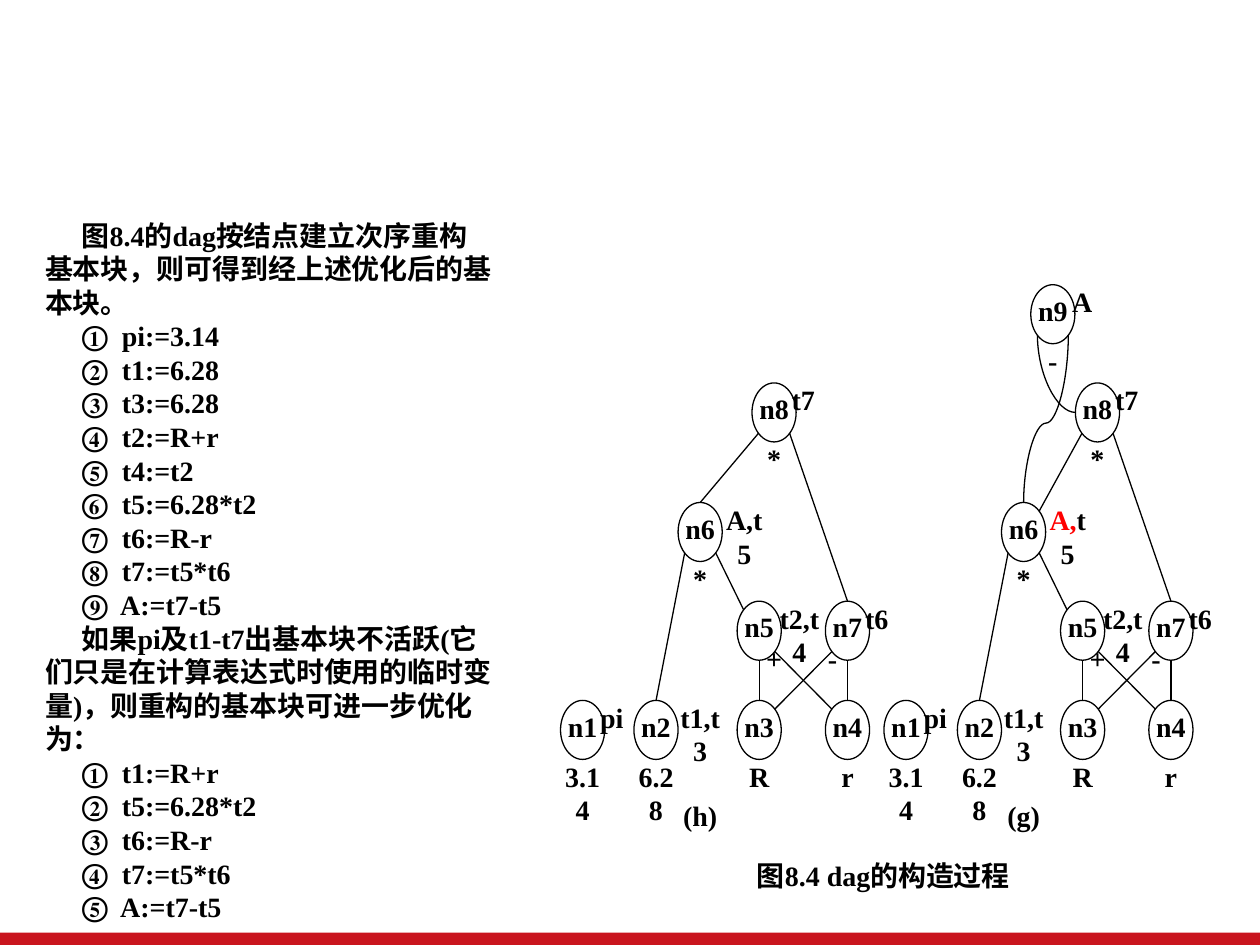
"""Build the slide on rebuilding a basic block from its dag."""
from lxml.etree import SubElement
from pptx import Presentation
from pptx.dml.color import RGBColor
from pptx.enum.shapes import MSO_CONNECTOR as Link, MSO_SHAPE as Shape
from pptx.enum.text import MSO_ANCHOR as Anchor, MSO_AUTO_SIZE as AutoSize, PP_ALIGN as Align
from pptx.oxml.ns import qn
from pptx.util import Cm, Pt

BLACK = RGBColor(0x00, 0x00, 0x00)
WHITE = RGBColor(0xFF, 0xFF, 0xFF)
RED = RGBColor(0xFF, 0x00, 0x00)
BAR_RED = RGBColor(0xC9, 0x15, 0x1E)
FONT, SIZE = "Times New Roman", Pt(16)

EXPLANATION = [
    "图8.4的dag按结点建立次序重构基本块，则可得到经上述优化后的基本块。",
    "①  pi:=3.14",
    "②  t1:=6.28",
    "③  t3:=6.28",
    "④  t2:=R+r",
    "⑤  t4:=t2",
    "⑥  t5:=6.28*t2",
    "⑦  t6:=R-r",
    "⑧  t7:=t5*t6",
    "⑨  A:=t7-t5",
    "如果pi及t1-t7出基本块不活跃(它们只是在计算表达式时使用的临时变量)，则重构的基本块可进一步优化为：",
    "①  t1:=R+r",
    "②  t5:=6.28*t2",
    "③  t6:=R-r",
    "④  t7:=t5*t6",
    "⑤  A:=t7-t5",
]
CAPTION = "图8.4 dag的构造过程"

NODE_W, NODE_H, LABEL_H = 0.89, 1.19, 0.8
NODES = {
    "n1": (11.3, 14.12), "n2": (12.78, 14.12), "n3": (14.86, 14.12), "n4": (16.64, 14.12),
    "n5": (14.86, 12.12), "n6": (13.67, 10.13), "n7": (16.64, 12.12), "n8": (15.16, 7.72),
}
TOP_NODE = {"n9": (14.26, 5.74)}
LABELS = [
    ("n1", "pi", 0.59, 0), ("n2", "t1,t3", 0.89, 0), ("n5", "t2,t4", 0.81, 0),
    ("n6", "A,t5", 0.89, 0), ("n7", "t6", 0.59, 0), ("n8", "t7", 0.59, 0),
    ("n1", "3.14", 0, NODE_H), ("n2", "6.28", 0, NODE_H), ("n3", "R", 0, NODE_H),
    ("n4", "r", 0, NODE_H), ("n6", "*", 0, NODE_H), ("n8", "*", 0, NODE_H),
    ("n5", "+", 0.3, 0.81), ("n7", "-", -0.3, 0.81),
]
TOP_LABELS = [("n9", "A", 0.59, 0), ("n9", "-", 0, NODE_H)]
EDGES = [
    ("n5", "bottom", "n3", "top"), ("n5", "lower right", "n4", "upper left"),
    ("n6", "lower left", "n2", "top"), ("n6", "lower right", "n5", "upper left"),
    ("n7", "lower left", "n3", "upper right"), ("n7", "bottom", "n4", "top"),
    ("n8", "lower right", "n7", "top"),
]
SITES = {
    "top": (0.5, 0), "bottom": (0.5, 1), "left": (0, 0.5),
    "upper left": (0.15, 0.15), "upper right": (0.85, 0.15),
    "lower left": (0.15, 0.85), "lower right": (0.85, 0.85),
}
GRAPHS = [
    dict(name="(h)", shift=0, nodes=NODES, labels=LABELS, n6_site="top", live=BLACK),
    dict(name="(g)", shift=6.52, nodes={**NODES, **TOP_NODE}, labels=LABELS + TOP_LABELS,
         n6_site="upper right", live=RED),
]

presentation = Presentation()
presentation.slide_width, presentation.slide_height = Cm(25.4), Cm(19.05)
slide = presentation.slides.add_slide(presentation.slide_layouts[6])


def style_run(run, color=BLACK):
    run.font.name, run.font.size, run.font.bold = FONT, SIZE, True
    run.font.color.rgb = color


def write(shape, parts):
    frame = shape.text_frame
    frame.word_wrap, frame.vertical_anchor = True, Anchor.TOP
    frame.margin_left = frame.margin_right = frame.margin_top = frame.margin_bottom = 0
    paragraph = frame.paragraphs[0]
    paragraph.alignment = Align.CENTER
    for text, color in parts:
        run = paragraph.add_run()
        run.text = text
        style_run(run, color)


def add_label(parts, left, top, width=NODE_W):
    write(slide.shapes.add_textbox(Cm(left), Cm(top), Cm(width), Cm(LABEL_H)), parts)


def add_filled(kind, left, top, width, height, fill):
    shape = slide.shapes.add_shape(kind, Cm(left), Cm(top), Cm(width), Cm(height))
    shape.shadow.inherit = False
    shape.fill.solid()
    shape.fill.fore_color.rgb = fill
    return shape


def add_link(start, end, kind=Link.STRAIGHT):
    link = slide.shapes.add_connector(kind, *(Cm(value) for value in (*start, *end)))
    link.line.color.rgb, link.line.width = BLACK, Pt(0.75)
    SubElement(link._element.spPr, qn("a:effectLst"))
    return link


def add_side_curve(start, end):
    link = add_link(start, end, Link.CURVE)
    link._element.spPr.find(qn("a:prstGeom")).set("prst", "curvedConnector2")


def add_falling_curve(start, end, bend):
    middle_x, middle_y = (start[0] + end[0]) / 2, (start[1] + end[1]) / 2
    half_w, half_h = (end[1] - start[1]) / 2, (start[0] - end[0]) / 2
    link = add_link((middle_x - half_w, middle_y - half_h),
                    (middle_x + half_w, middle_y + half_h), Link.CURVE)
    properties = link._element.spPr
    properties.find(qn("a:xfrm")).set("rot", str(90 * 60000))
    adjustments = properties.find(qn("a:prstGeom")).find(qn("a:avLst"))
    SubElement(adjustments, qn("a:gd"), name="adj1", fmla=f"val {bend}")


def draw_graph(name, shift, nodes, labels, n6_site, live):
    def site(node, place):
        (left, top), (across, down) = nodes[node], SITES[place]
        return left + shift + across * NODE_W, top + down * NODE_H

    for node, (left, top) in nodes.items():
        ellipse = add_filled(Shape.OVAL, left + shift, top, NODE_W, NODE_H, WHITE)
        ellipse.line.color.rgb, ellipse.line.width = BLACK, Pt(0.75)
        write(ellipse, [(node, BLACK)])
    for parent, begin, child, finish in EDGES + [("n8", "lower left", "n6", n6_site)]:
        add_link(site(parent, begin), site(child, finish))
    if "n9" in nodes:
        add_side_curve(site("n8", "left"), site("n9", "lower left"))
        add_falling_curve(site("n9", "lower right"), site("n6", "top"), 52600)
    for node, text, right, down in labels:
        parts = [("A,", live), ("t5", BLACK)] if text == "A,t5" else [(text, BLACK)]
        left, top = nodes[node]
        add_label(parts, left + shift + right, top + down)
    add_label([(name, BLACK)], nodes["n6"][0] + shift, 16.1)


add_filled(Shape.RECTANGLE, 0, 18.8, 25.4, 0.25, BAR_RED).line.fill.background()
for graph in GRAPHS:
    draw_graph(**graph)
add_label([(CAPTION, BLACK)], 11.89, 17.3, 11.84)

explanation = slide.shapes.add_textbox(Cm(0.66), Cm(4.19), Cm(9.53), Cm(14.63))
frame = explanation.text_frame
frame.text = "\n".join(EXPLANATION)
frame.word_wrap, frame.vertical_anchor = True, Anchor.MIDDLE
frame.auto_size = AutoSize.SHAPE_TO_FIT_TEXT
for paragraph in frame.paragraphs:
    paragraph._p.get_or_add_pPr().set("indent", str(Cm(0.74)))
    style_run(paragraph.runs[0])

presentation.save("out.pptx")
